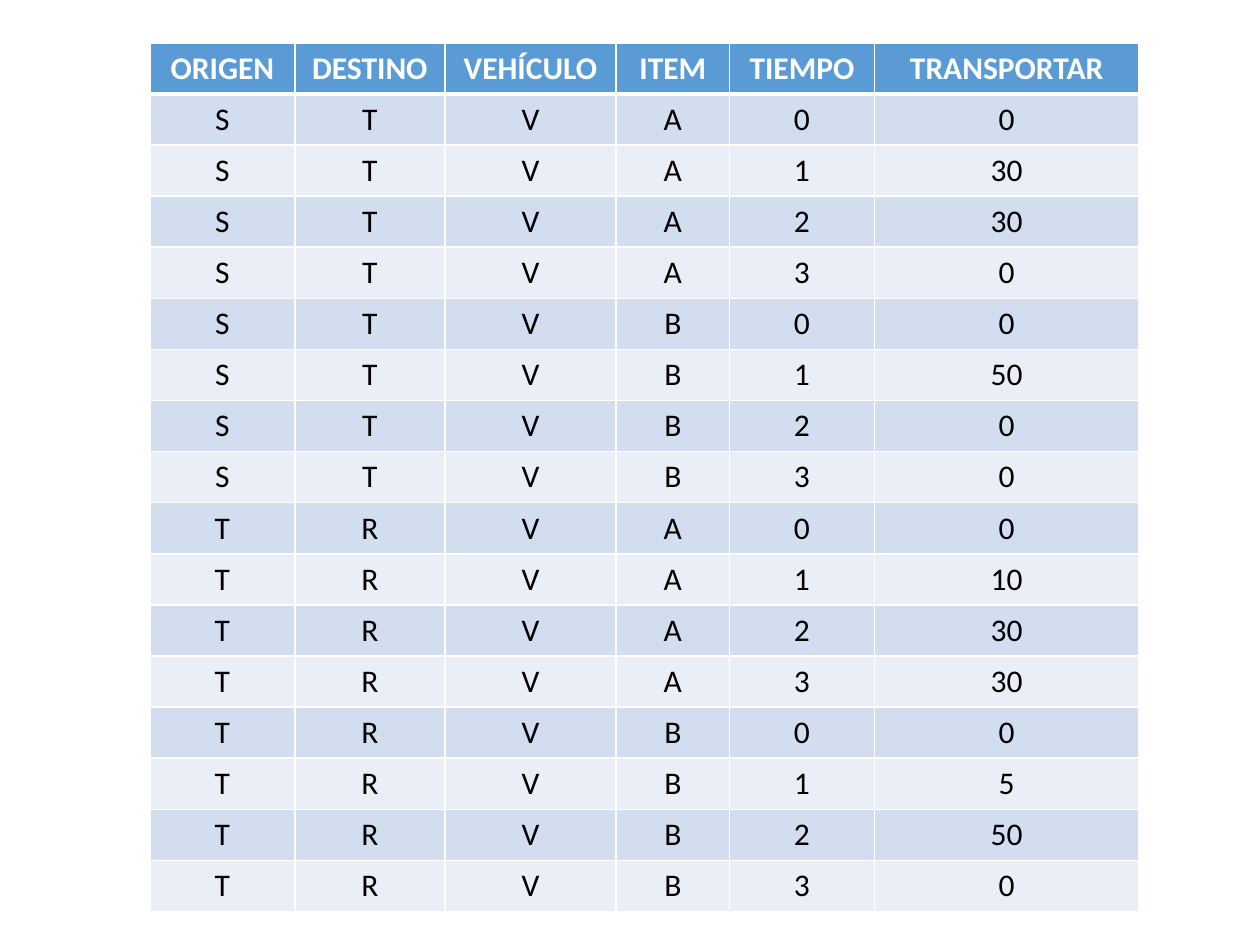
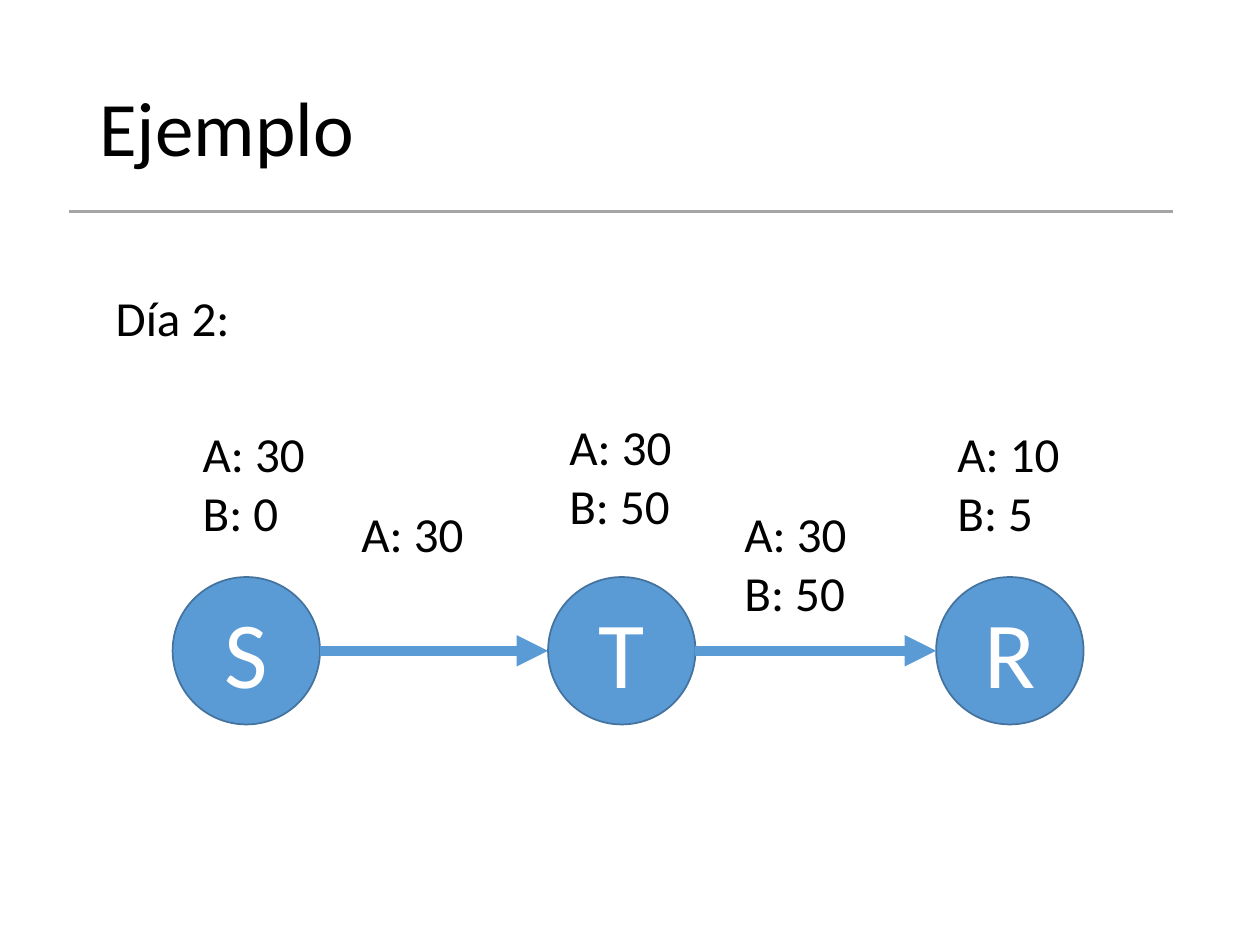
from lxml import etree
from pptx import Presentation
from pptx.dml.color import RGBColor
from pptx.enum.shapes import MSO_CONNECTOR, MSO_SHAPE
from pptx.enum.text import MSO_ANCHOR, PP_ALIGN
from pptx.oxml.ns import qn
from pptx.util import Inches, Pt

CENTER, LEFT = PP_ALIGN.CENTER, PP_ALIGN.LEFT
MIDDLE, TOP = MSO_ANCHOR.MIDDLE, MSO_ANCHOR.TOP
STRAIGHT, OVAL = MSO_CONNECTOR.STRAIGHT, MSO_SHAPE.OVAL

# Shared style
FONT = "Calibri"
WHITE = RGBColor(0xFF, 0xFF, 0xFF)
BLACK = RGBColor(0x00, 0x00, 0x00)
BLUE = RGBColor(0x5B, 0x9B, 0xD5)
DARK_BLUE = RGBColor(0x43, 0x73, 0x9E)
GRAY = RGBColor(0xA5, 0xA5, 0xA5)
BANDS = (RGBColor(0xD2, 0xDE, 0xEF), RGBColor(0xEA, 0xEF, 0xF7))

# Transport plan: amounts per day for each leg and item
HEADERS = ("ORIGEN", "DESTINO", "VEHÍCULO", "ITEM", "TIEMPO", "TRANSPORTAR")
COLUMN_WIDTHS = (1.15, 1.19, 1.36, 0.9, 1.15, 2.1)
VEHICLE = "V"
PLAN = (
    ("S", "T", "A", (0, 30, 30, 0)),
    ("S", "T", "B", (0, 50, 0, 0)),
    ("T", "R", "A", (0, 10, 30, 30)),
    ("T", "R", "B", (0, 5, 50, 0)),
)
TABLE_BOX = (1.19, 0.34, 7.84, 6.89)

# Network of the example
TITLE, DAY = "Ejemplo", "Día 2:"
NODES = (("S", 1.37), ("T", 4.35), ("R", 7.43))
NODE_TOP, NODE_SIZE = 4.58, 1.17
LABEL_SIZE = (1.02, 1.04)
LABELS = (
    (2.77, 3.95, ["A: 30"]),
    (5.81, 3.95, ["A: 30", "B: 50"]),
    (1.51, 3.31, ["A: 30", "B: 0"]),
    (4.42, 3.26, ["A: 30", "B: 50"]),
    (7.5, 3.31, ["A: 10", "B: 5"]),
)


def inches(values):
    return [Inches(value) for value in values]


def style(paragraph, size, color=BLACK, bold=False, align=LEFT):
    paragraph.alignment = align
    font = paragraph.font
    font.name, font.size, font.bold = FONT, Pt(size), bold
    font.color.rgb = color


def add_text(slide, box, lines, size, anchor=TOP, wrap=False, spacing=None):
    frame = slide.shapes.add_textbox(*inches(box)).text_frame
    frame.word_wrap = wrap
    frame.vertical_anchor = anchor
    frame.text = "\n".join(lines)
    for paragraph in frame.paragraphs:
        style(paragraph, size)
        paragraph.line_spacing = spacing


def add_line(slide, start, end, color, width, arrow=False):
    line = slide.shapes.add_connector(STRAIGHT, *inches(start + end))
    line.line.color.rgb = color
    line.line.width = Pt(width)
    if arrow:
        outline = line.line._get_or_add_ln()
        etree.SubElement(outline, qn("a:tailEnd"), type="triangle")
    etree.SubElement(line._element.spPr, qn("a:effectLst"))


def set_borders(cell, widths):
    properties = cell._tc.get_or_add_tcPr()
    for side, width in zip("LRTB", widths):
        border = etree.SubElement(properties, qn(f"a:ln{side}"), w=str(Pt(width)))
        fill = etree.SubElement(border, qn("a:solidFill"))
        etree.SubElement(fill, qn("a:srgbClr"), val=str(WHITE))


def build_plan_slide(slide):
    rows = [HEADERS] + [
        (origin, destination, VEHICLE, item, day, amount)
        for origin, destination, item, amounts in PLAN
        for day, amount in enumerate(amounts)
    ]
    table = slide.shapes.add_table(len(rows), len(HEADERS), *inches(TABLE_BOX)).table
    for column, width in zip(table.columns, COLUMN_WIDTHS):
        column.width = Inches(width)
    for index, values in enumerate(rows):
        is_header = index == 0
        # A thick rule separates the header from the body
        top = 3 if index == 1 else 1
        bottom = 3 if is_header else 1
        for cell, value in zip(table.rows[index].cells, values):
            cell.text = str(value)
            style(cell.text_frame.paragraphs[0], 18,
                  WHITE if is_header else BLACK, is_header, CENTER)
            set_borders(cell, (1, 1, top, bottom))
            cell.fill.solid()
            cell.fill.fore_color.rgb = BLUE if is_header else BANDS[(index - 1) % 2]


def add_node(slide, name, left):
    node = slide.shapes.add_shape(
        OVAL, *inches((left, NODE_TOP, NODE_SIZE, NODE_SIZE)))
    node.shadow.inherit = False
    node.fill.solid()
    node.fill.fore_color.rgb = BLUE
    node.line.color.rgb = DARK_BLUE
    node.line.width = Pt(1)
    node.text_frame.text = name
    node.text_frame.vertical_anchor = MIDDLE
    style(node.text_frame.paragraphs[0], 54, WHITE, align=CENTER)


def build_network_slide(slide):
    # Title and rule
    add_text(slide, (0.69, 0.32, 8.62, 1.45), [TITLE], 44, MIDDLE, True, 0.9)
    add_line(slide, (0.55, 1.68), (9.31, 1.68), GRAY, 1.5)

    # Nodes and the arrows between neighbours
    for name, left in NODES:
        add_node(slide, name, left)
    middle = NODE_TOP + NODE_SIZE / 2
    for (_, left), (_, next_left) in zip(NODES, NODES[1:]):
        add_line(slide, (left + NODE_SIZE, middle), (next_left, middle),
                 BLUE, 6, arrow=True)

    # Day and quantities
    add_text(slide, (0.82, 2.23, 1.12, 0.57), [DAY], 28)
    for left, top, lines in LABELS:
        add_text(slide, (left, top, *LABEL_SIZE), lines, 28)


def main():
    presentation = Presentation()
    presentation.slide_width, presentation.slide_height = Inches(10), Inches(7.5)
    blank = presentation.slide_layouts[6]
    for build in (build_plan_slide, build_network_slide):
        build(presentation.slides.add_slide(blank))
    presentation.save("out.pptx")


if __name__ == "__main__":
    main()
